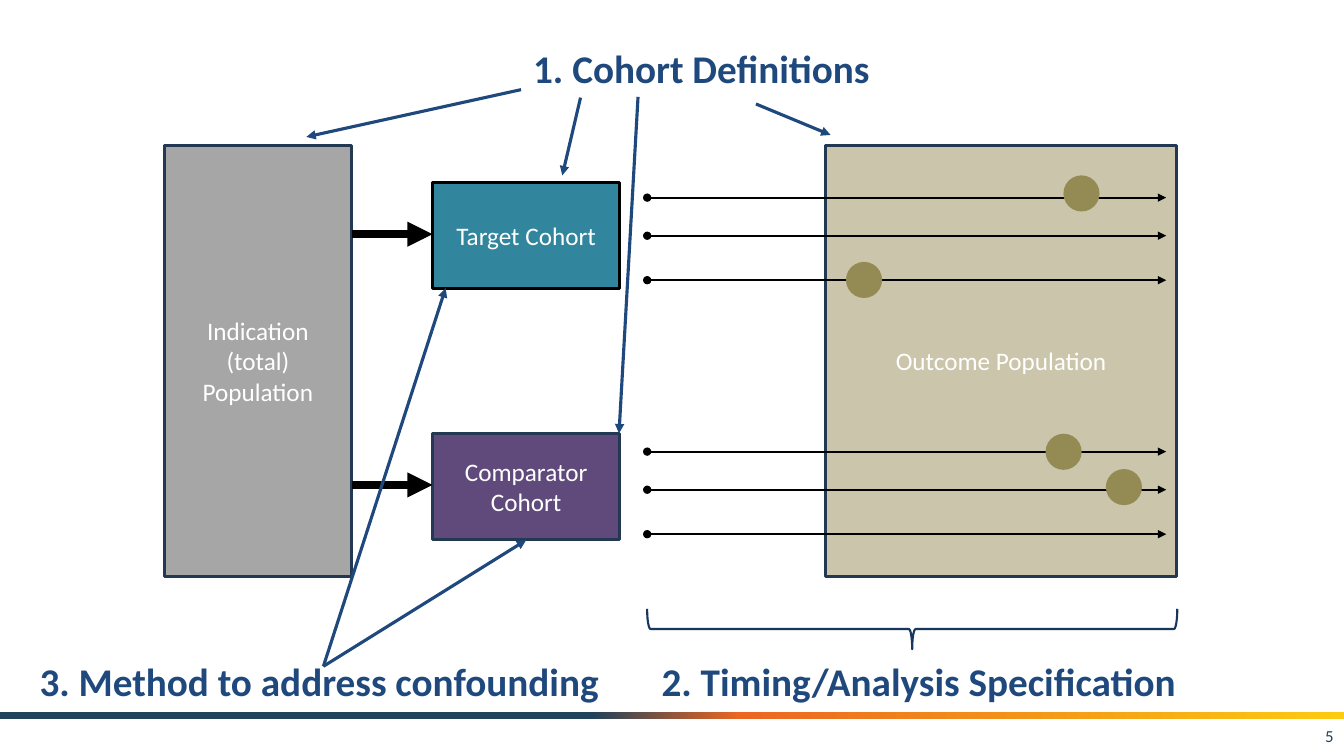
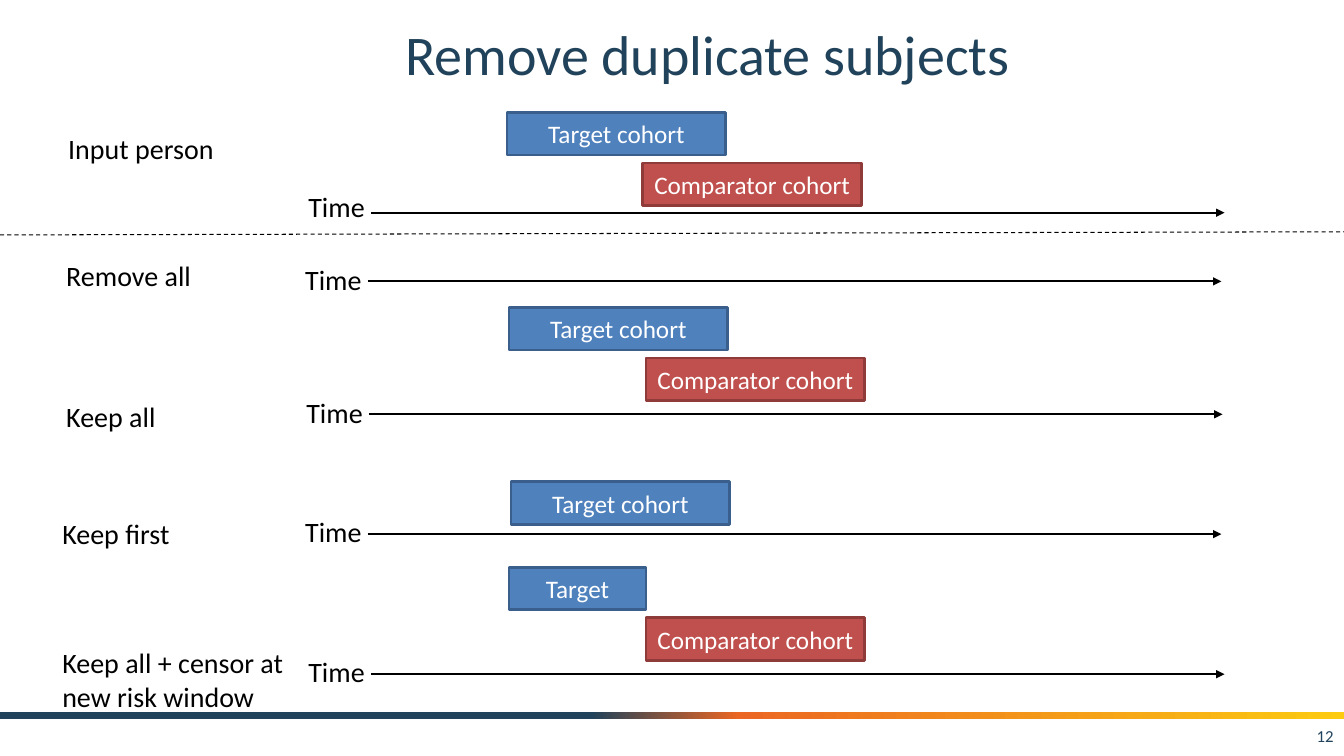
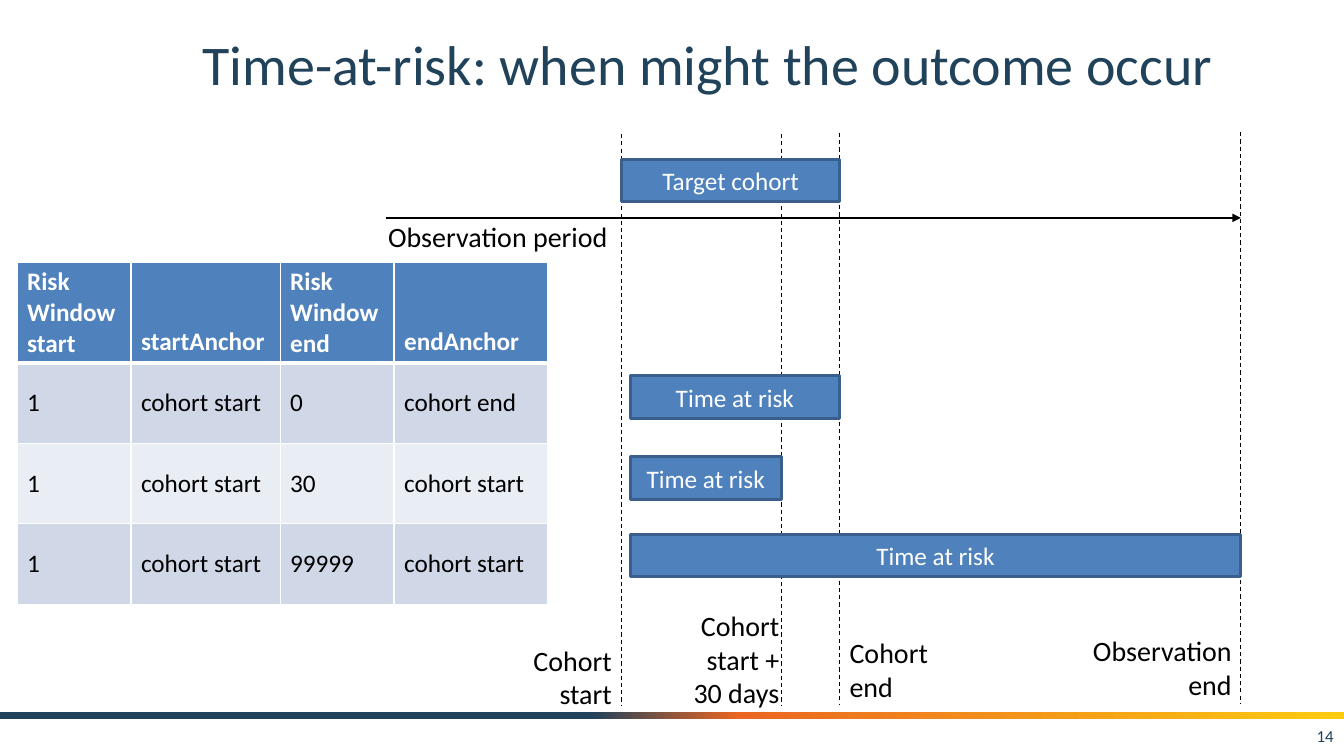
from lxml.etree import SubElement
from pptx import Presentation
from pptx.dml.color import RGBColor
from pptx.enum.dml import MSO_LINE
from pptx.enum.shapes import MSO_CONNECTOR, MSO_SHAPE
from pptx.enum.text import MSO_ANCHOR, MSO_AUTO_SIZE, PP_ALIGN
from pptx.oxml.ns import qn
from pptx.util import Cm, Pt

WIDE, HIGH = 33.87, 19.05
COLORS = {
    "navy": "20425A", "orange": "EB6622", "yellow": "FCCB10",
    "white": "FFFFFF", "black": "000000", "ink": "1F497D",
    "edge": "233953", "brace": "17375E", "olive": "948A54",
    "gray": "A6A6A6", "teal": "31859C", "purple": "604A7B",
    "blue": "4F81BD", "blue edge": "3A5F8C",
    "red": "C0504D", "red edge": "8E3B39",
    "odd": "D0D8E8", "even": "E9EDF4",
}
LOOKS = {
    "title": {"size": Pt(40), "color": "navy"},
    "number": {"size": Pt(12), "color": "navy"},
    "callout": {"size": Pt(28), "color": "ink", "bold": True},
    "shape": {"size": Pt(18), "color": "white"},
    "note": {"size": Pt(20), "color": "black"},
    "head": {"size": Pt(18), "color": "white", "bold": True},
    "cell": {"size": Pt(18), "color": "black", "bold": False},
}
BAR = 1.07  # height of a time bar
SPAN = 5.51  # width of a full cohort bar


def rgb(name):
    return RGBColor.from_string(COLORS[name])


def cms(box):
    return [Cm(round(v, 2)) for v in box]


def write(frame, text, look, align=PP_ALIGN.LEFT):
    frame.text = text
    for para in frame.paragraphs:
        para.alignment = align
        font = para.runs[0].font
        font.name = "Calibri"
        for key, val in LOOKS[look].items():
            if key == "color":
                font.color.rgb = rgb(val)
            else:
                setattr(font, key, val)


def label(slide, box, text, look="note", align=PP_ALIGN.LEFT):
    frame = slide.shapes.add_textbox(*cms(box)).text_frame
    frame.word_wrap = True
    frame.auto_size = MSO_AUTO_SIZE.SHAPE_TO_FIT_TEXT
    write(frame, text, look, align)
    return frame


def block(slide, box, fill, edge=None, text="", kind=MSO_SHAPE.RECTANGLE):
    shape = slide.shapes.add_shape(kind, *cms(box))
    shape.shadow.inherit = False
    shape.fill.solid()
    shape.fill.fore_color.rgb = rgb(fill)
    if edge:
        shape.line.color.rgb = rgb(edge)
        shape.line.width = Pt(2)
    else:
        shape.line.fill.background()
    if text:
        shape.text_frame.word_wrap = True
        shape.text_frame.vertical_anchor = MSO_ANCHOR.MIDDLE
        write(shape.text_frame, text, "shape", PP_ALIGN.CENTER)
    return shape


def stroke(slide, start, end, ink="black", width=1.5, head=None,
           tail="triangle", dash=False):
    link = slide.shapes.add_connector(
        MSO_CONNECTOR.STRAIGHT, *cms(start), *cms(end))
    link.line.color.rgb = rgb(ink)
    link.line.width = Pt(width)
    if dash:
        link.line.dash_style = MSO_LINE.DASH
    props = link.element.spPr
    for tag, kind in (("a:headEnd", head), ("a:tailEnd", tail)):
        if kind:
            SubElement(props.find(qn("a:ln")), qn(tag), type=kind)
    SubElement(props, qn("a:effectLst"))


def add_band(deck, slide):
    """Put the gradient band on the slide master."""
    band = block(slide, (0, 17.93, WIDE, 0.2), "navy")
    band.fill.gradient()
    band.fill.gradient_angle = 0
    stops = band.element.spPr.find(".//" + qn("a:gsLst"))
    stops.clear()
    for pos, name in ((44, "navy"), (55, "orange"), (100, "yellow")):
        stop = SubElement(stops, qn("a:gs"), pos=str(pos * 1000))
        SubElement(stop, qn("a:srgbClr"), val=COLORS[name])
    deck.slide_master.shapes.element.append(band.element)


def new_slide(deck, number, title=None, top=0):
    slide = deck.slides.add_slide(deck.slide_layouts[5 if title else 6])
    if title:
        head = slide.shapes.title
        spots = zip(("left", "top", "width", "height"),
                    cms((3.48, top, 28.7, 2.34)))
        for key, val in spots:
            setattr(head, key, val)
        head.text_frame.vertical_anchor = MSO_ANCHOR.MIDDLE
        write(head.text_frame, title, "title", PP_ALIGN.CENTER)
    frame = label(slide, (25.96, 18.03, 7.9, 1.02), number, "number",
                  PP_ALIGN.RIGHT)
    frame.auto_size = MSO_AUTO_SIZE.NONE
    frame.vertical_anchor = MSO_ANCHOR.MIDDLE
    return slide


# Study design

def cohort(slide, box, fill, edge, text, first, dots):
    """A cohort box with its feed arrow, person lines and outcome dots."""
    x, y, wide, _ = box
    block(slide, box, fill, edge, text)
    stroke(slide, (x - 2.04, y + 1.3), (x, y + 1.3), width=6)
    left, top = x + 5.41, y + first
    for step in (0, 0.96, 2.08):
        stroke(slide, (left, top + step), (left + 13.08, top + step),
               head="oval")
    size = 0.91
    for dx, dy in dots:
        spot = (left + dx - size / 2, top + dy - size / 2, size, size)
        block(slide, spot, "olive", kind=MSO_SHAPE.OVAL)


def callout(slide, box, text, arrows=()):
    """A heading and its arrows, given from the heading's corner."""
    x, y = box[:2]
    for (ax, ay), (bx, by) in arrows:
        stroke(slide, (x + ax, y + ay), (x + bx, y + by), "ink", 2.25)
    label(slide, box, text, "callout", PP_ALIGN.CENTER)


def brace(slide, box):
    """A brace that fills the box and points down."""
    x, y, wide, high = box
    spot = (x + (wide - high) / 2, y + (high - wide) / 2, high, wide)
    shape = slide.shapes.add_shape(MSO_SHAPE.LEFT_BRACE, *cms(spot))
    shape.rotation = 270
    shape.shadow.inherit = False
    shape.fill.background()
    shape.line.color.rgb = rgb("brace")
    shape.line.width = Pt(1.5)


def design(deck):
    slide = new_slide(deck, "5")
    add_band(deck, slide)
    pool = block(slide, (20.8, 3.66, 8.86, 10.87), "olive", "edge",
                 "Outcome Population")
    tint = pool.element.spPr.find(".//" + qn("a:srgbClr"))
    SubElement(tint, qn("a:alpha"), val="49000")
    block(slide, (4.14, 3.66, 4.72, 10.87), "gray", "edge",
          "Indication (total) Population")
    cohort(slide, (10.9, 4.6, 4.72, 2.67), "teal", "black", "Target Cohort",
           0.38, ((10.94, -0.1), (5.46, 2.08)))
    cohort(slide, (10.9, 10.92, 4.72, 2.67), "purple", "edge",
           "Comparator Cohort", 0.46, ((10.49, 0), (12.01, 0.89)))
    callout(slide, (13.13, 0.99, 9.09, 1.45), "1. Cohort Definitions", (
        ((0, 1.27), (-5.41, 2.46)),
        ((1.5, 1.47), (1.04, 3.43)),
        ((2.95, 1.45), (2.47, 9.93)),
        ((5.92, 1.63), (7.8, 2.41))))
    callout(slide, (0.46, 16.43, 15.16, 1.45),
            "3. Method to address confounding", (
                ((7.69, 0.36), (10.77, -9.17)),
                ((7.69, 0.36), (12.8, -2.82))))
    brace(slide, (16.31, 15.34, 13.36, 1.02))
    callout(slide, (15.9, 16.43, 14.5, 1.45),
            "2. Timing/Analysis Specification")


# Duplicate subjects

TARGET, RIVAL = ("blue", "Target cohort"), ("red", "Comparator cohort")
# name, its offset, axis start, rise of "Time", bars with offset and width
LANES = (
    ("Input person", (-7.88, -2.16), (9.35, 5.36), 0.71,
     ((TARGET, 3.43, -2.52, SPAN), (RIVAL, 6.85, -1.25, SPAN))),
    ("Remove all", (-7.85, -0.69), (9.27, 7.09), 0.61, ()),
    ("Keep all", (-7.88, -0.51), (9.3, 10.44), 0.61,
     ((TARGET, 3.53, -2.69, SPAN), (RIVAL, 6.98, -1.42, SPAN))),
    ("Keep first", (-7.95, -0.56), (9.27, 13.46), 0.61,
     ((TARGET, 3.61, -1.32, SPAN),)),
    ("Keep all + censor at new risk window", (-8.03, -0.84), (9.35, 16.99),
     0.61, ((("blue", "Target"), 3.48, -2.69, 3.45),
            (RIVAL, 6.93, -1.42, SPAN))),
)


def lane(slide, name, shift, start, rise, bars):
    x, y = start
    stroke(slide, start, (x + 21.51, y))
    label(slide, (x - 1.83, y - rise, 6.99, 1.12), "Time")
    label(slide, (x + shift[0], y + shift[1], 6.99, 1.12), name)
    for (fill, text), dx, dy, wide in bars:
        block(slide, (x + dx, y + dy, wide, BAR), fill, fill + " edge", text)


def duplicates(deck):
    slide = new_slide(deck, "12", "Remove duplicate subjects", 0.18)
    for row in LANES:
        lane(slide, *row)
    stroke(slide, (0, 5.92), (WIDE, 5.84), width=0.75, tail=None, dash=True)


# Time at risk

ROWS = (
    ("Risk\nWindow\nstart", "startAnchor", "Risk\nWindow\nend", "endAnchor"),
    ("1", "cohort start", "0", "cohort end"),
    ("1", "cohort start", "30", "cohort start"),
    ("1", "cohort start", "99999", "cohort start"),
)


def border(cell, under):
    props = cell._tc.get_or_add_tcPr()
    for side, width in (("L", 1), ("R", 1), ("T", 1), ("B", under)):
        line = SubElement(props, qn("a:ln" + side), w=str(Pt(width)))
        fill = SubElement(line, qn("a:solidFill"))
        SubElement(fill, qn("a:srgbClr"), val=COLORS["white"])


def windows(slide, box):
    """The table of risk windows."""
    table = slide.shapes.add_table(
        len(ROWS), len(ROWS[0]), *cms(box)).table
    for col, wide in zip(table.columns, (2.87, 3.76, 2.87, 3.86)):
        col.width = Cm(wide)
    for i, row in enumerate(ROWS):
        table.rows[i].height = Cm(2.03 if i else 2.54)
        shade = ("even", "odd")[i % 2] if i else "blue"
        for j, text in enumerate(row):
            cell = table.cell(i, j)
            border(cell, 1 if i else 3)
            cell.fill.solid()
            cell.fill.fore_color.rgb = rgb(shade)
            cell.vertical_anchor = (
                MSO_ANCHOR.MIDDLE if i else MSO_ANCHOR.BOTTOM)
            write(cell.text_frame, text, "cell" if i else "head")


def marker(slide, x, top, box, text, align=PP_ALIGN.RIGHT):
    """A dashed date line with its note."""
    stroke(slide, (x, top), (x, top + 14.4), width=0.75, tail=None, dash=True)
    label(slide, box, text, align=align)


def risk(deck):
    slide = new_slide(deck, "14",
                      "Time-at-risk: when might the outcome occur", 0.43)
    start, month, end, last = 15.67, 19.69, 21.16, 31.27
    stroke(slide, (9.73, 5.49), (last, 5.49))
    label(slide, (9.53, 5.41, 6.99, 1.12), "Observation period")
    windows(slide, (0.43, 6.6, 13.36, 8.63))
    marker(slide, start, 3.38, (12.93, 16.08, 2.74, 1.96), "Cohort start")
    marker(slide, end, 3.35, (end, 15.9, 2.74, 1.96), "Cohort end",
           PP_ALIGN.LEFT)
    marker(slide, last, 3.33, (26.87, 15.85, 4.42, 1.96), "Observation end")
    marker(slide, month, 3.38, (17.15, 15.21, 2.74, 2.82),
           "Cohort start + 30 days")
    day = 15.88
    for left, top, right, text in (
            (day, 9.47, end, "Time at risk"),
            (day, 11.51, month, "Time at risk"),
            (day, 13.46, last, "Time at risk"),
            (start, 4.01, end, "Target cohort")):
        block(slide, (left, top, right - left, BAR), "blue", "blue edge",
              text)


def main():
    deck = Presentation()
    deck.slide_width, deck.slide_height = cms((WIDE, HIGH))
    for build in (design, duplicates, risk):
        build(deck)
    deck.save("out.pptx")


if __name__ == "__main__":
    main()
